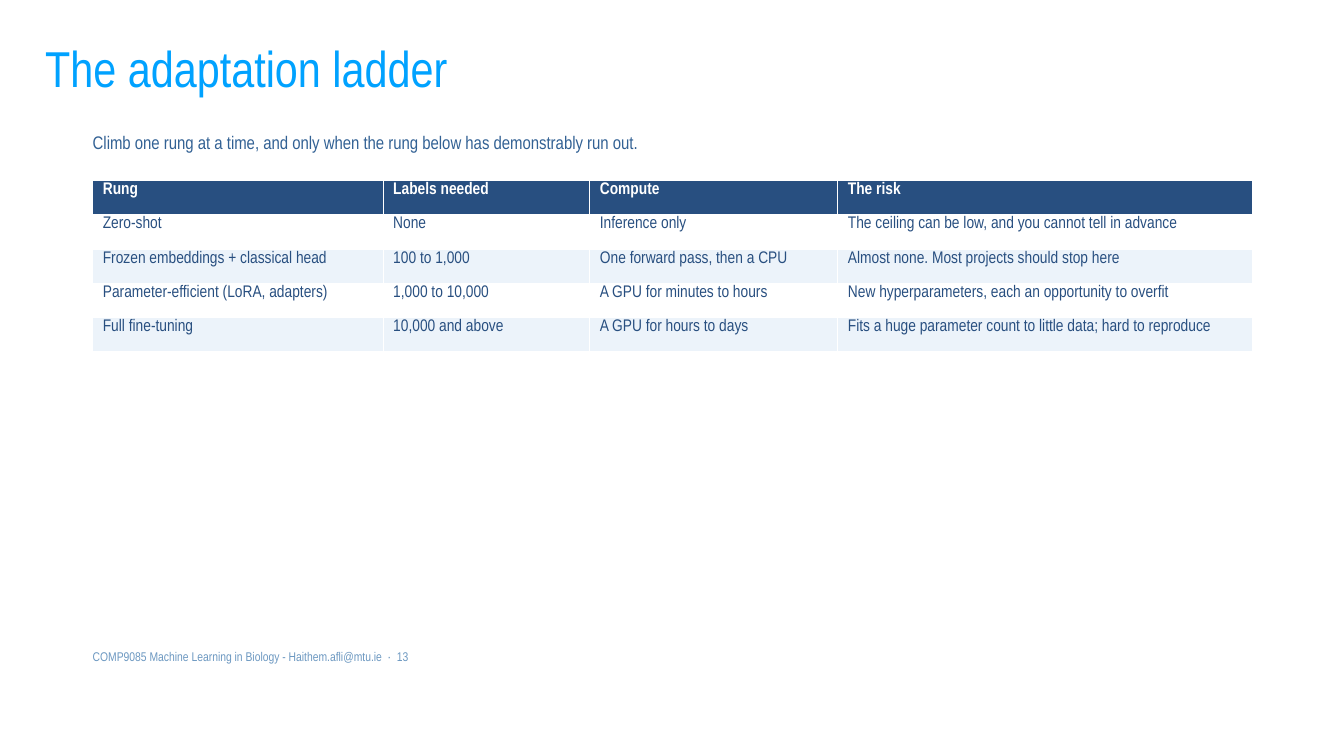
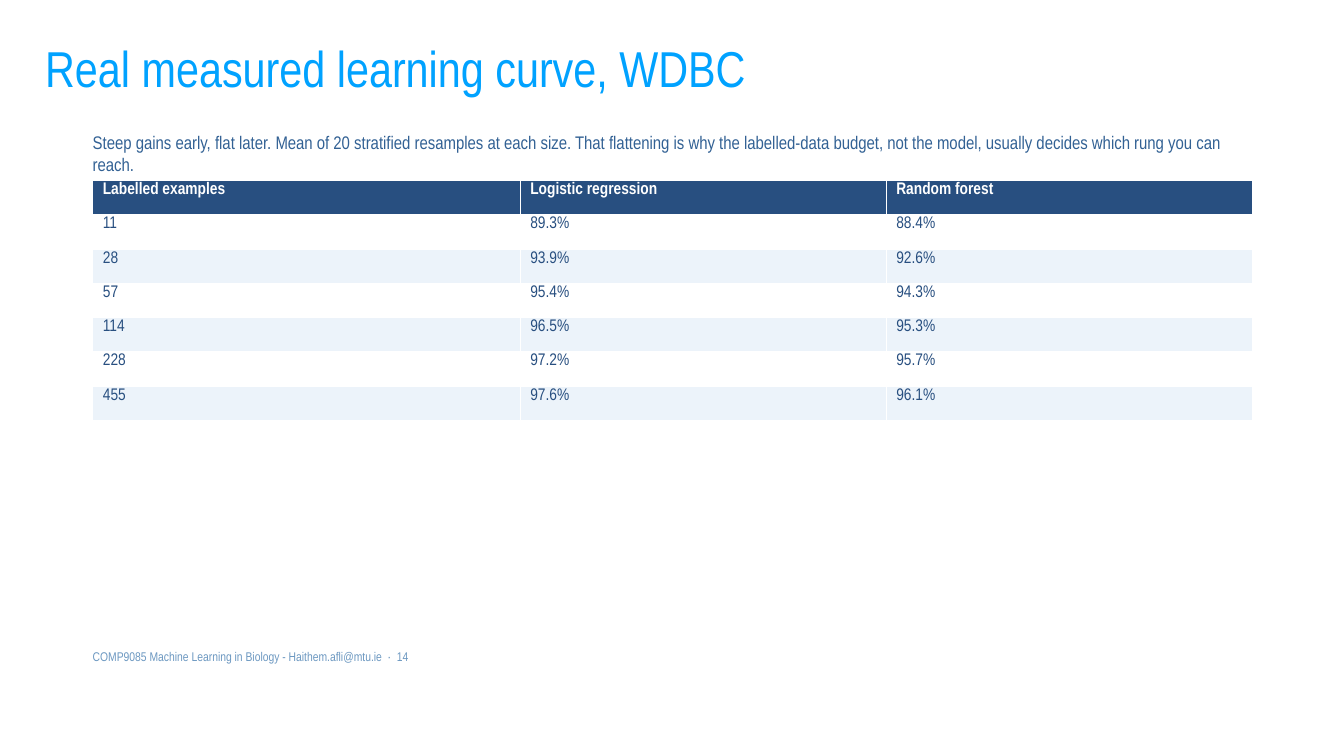
import pptx
import pptx.dml.color
import pptx.enum.text
import pptx.util

# Shared scale, font and colours
EMU_PER_PX = 9144  # 100 px to the inch
FONT = "Arial Narrow"
TITLE_BLUE = "00A2FF"
LEAD_BLUE = "326194"
FOOTER_BLUE = "6C98C1"
NAVY = "284F80"
PALE_BLUE = "ECF3FA"
WHITE = "FFFFFF"

# Shared layout: left, top, width, height in px
TITLE_BOX = (35, 16, 920, 110)
LEAD_BOX = (92, 130, 1150, 34)
FOOTER_BOX = (92, 644, 730, 26)
TABLE_ORIGIN = (92, 179)
ROW_HEIGHT = 34
FOOTER = "COMP9085 Machine Learning in Biology - Haithem.afli@mtu.ie  ·  {}"

SLIDES = [
    {
        "number": 13,
        "title": "The adaptation ladder",
        "lead": "Climb one rung at a time, and only when the rung below has "
                "demonstrably run out.",
        "widths": [288, 205, 246, 411],
        "rows": [
            ["Rung", "Labels needed", "Compute", "The risk"],
            ["Zero-shot", "None", "Inference only",
             "The ceiling can be low, and you cannot tell in advance"],
            ["Frozen embeddings + classical head", "100 to 1,000",
             "One forward pass, then a CPU",
             "Almost none. Most projects should stop here"],
            ["Parameter-efficient (LoRA, adapters)", "1,000 to 10,000",
             "A GPU for minutes to hours",
             "New hyperparameters, each an opportunity to overfit"],
            ["Full fine-tuning", "10,000 and above", "A GPU for hours to days",
             "Fits a huge parameter count to little data; hard to reproduce"],
        ],
    },
    {
        "number": 14,
        "title": "Real measured learning curve, WDBC",
        "lead": "Steep gains early, flat later. Mean of 20 stratified resamples "
                "at each size. That flattening is why the labelled-data budget, "
                "not the model, usually decides which rung you can reach.",
        "widths": [424, 363, 363],
        "rows": [
            ["Labelled examples", "Logistic regression", "Random forest"],
            ["11", "89.3%", "88.4%"],
            ["28", "93.9%", "92.6%"],
            ["57", "95.4%", "94.3%"],
            ["114", "96.5%", "95.3%"],
            ["228", "97.2%", "95.7%"],
            ["455", "97.6%", "96.1%"],
        ],
    },
]


def px(length):
    return pptx.util.Emu(length * EMU_PER_PX)


def color(hex_string):
    return pptx.dml.color.RGBColor.from_string(hex_string)


def write_text(frame, text, *, size, fill, bold=False, margins=(0, 0), spacing=None):
    """Write one paragraph; margins are horizontal and vertical px."""
    frame.margin_left = frame.margin_right = px(margins[0])
    frame.margin_top = frame.margin_bottom = px(margins[1])
    paragraph = frame.paragraphs[0]
    paragraph.line_spacing = spacing
    run = paragraph.add_run()
    run.text = text
    run.font.name = FONT
    run.font.size = pptx.util.Pt(size)
    run.font.bold = bold
    run.font.color.rgb = color(fill)


def add_text_box(slide, box, text, *, middle=False, **text_format):
    frame = slide.shapes.add_textbox(*map(px, box)).text_frame
    frame.word_wrap = True
    if middle:
        frame.vertical_anchor = pptx.enum.text.MSO_ANCHOR.MIDDLE
    else:
        frame.auto_size = pptx.enum.text.MSO_AUTO_SIZE.SHAPE_TO_FIT_TEXT
    write_text(frame, text, **text_format)


def add_banded_table(slide, origin, widths, rows):
    """Navy header over alternating rows; white rules come from the table style."""
    left, top = origin
    table = slide.shapes.add_table(
        len(rows), len(widths), px(left), px(top),
        px(sum(widths)), px(ROW_HEIGHT * len(rows))).table
    table.horz_banding = False
    for column, width in zip(table.columns, widths):
        column.width = px(width)
    for row_index, row in enumerate(rows):
        header = row_index == 0
        band = NAVY if header else (PALE_BLUE, WHITE)[row_index % 2]
        for column_index, text in enumerate(row):
            cell = table.cell(row_index, column_index)
            cell.fill.solid()
            cell.fill.fore_color.rgb = color(band)
            cell.margin_left = cell.margin_right = px(10)
            cell.margin_top = cell.margin_bottom = px(2)
            write_text(cell.text_frame, text, size=12, bold=header,
                       fill=WHITE if header else NAVY, margins=(10, 2))


def add_table_slide(presentation, number, title, lead, widths, rows):
    slide = presentation.slides.add_slide(presentation.slide_layouts[6])
    # Title and lead sentence
    add_text_box(slide, TITLE_BOX, title, middle=True, size=36,
                 fill=TITLE_BLUE, margins=(10, 5), spacing=0.9)
    add_text_box(slide, LEAD_BOX, lead, size=13, fill=LEAD_BLUE)
    # Footer with page number
    add_text_box(slide, FOOTER_BOX, FOOTER.format(number), size=9, fill=FOOTER_BLUE)
    # Table
    add_banded_table(slide, TABLE_ORIGIN, widths, rows)


def main():
    presentation = pptx.Presentation()
    presentation.slide_width = px(1333)
    presentation.slide_height = px(750)
    for content in SLIDES:
        add_table_slide(presentation, **content)
    presentation.save("out.pptx")


if __name__ == "__main__":
    main()
